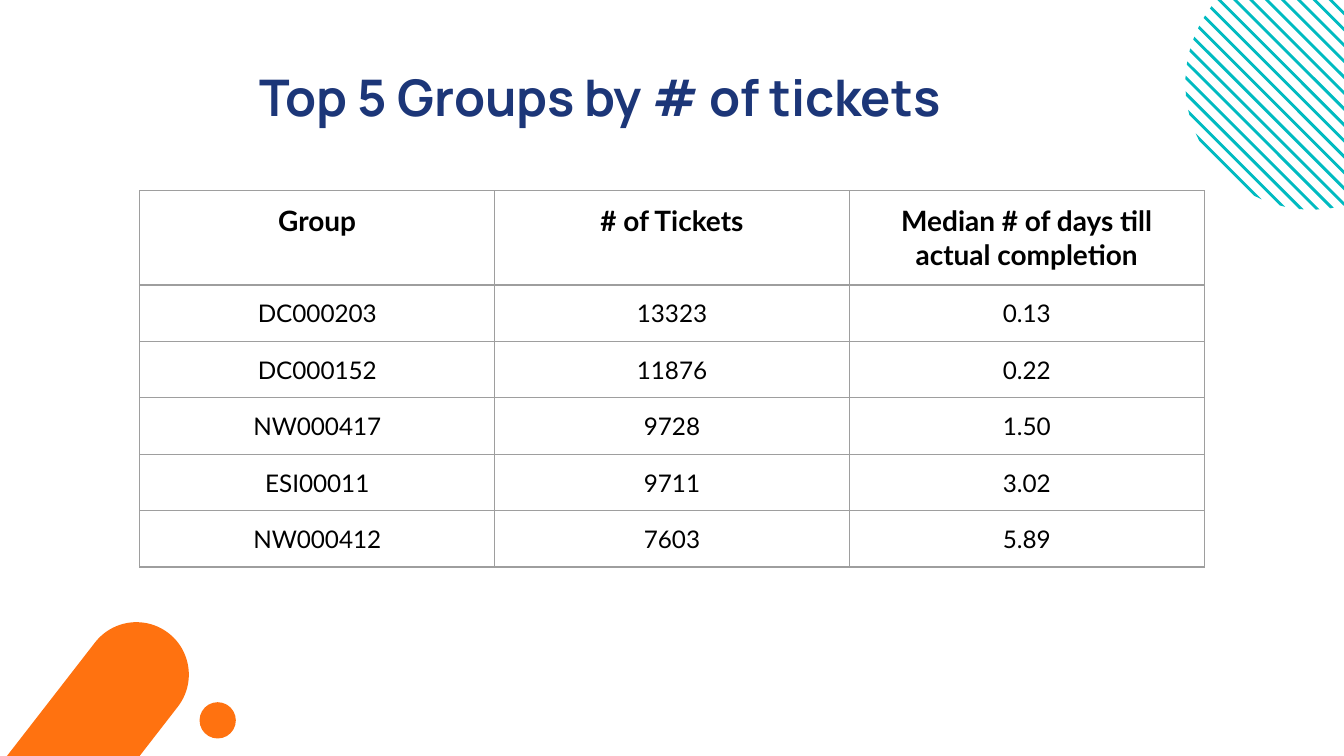
from math import sqrt

from lxml import etree
from pptx import Presentation
from pptx.dml.color import RGBColor
from pptx.enum.shapes import MSO_SHAPE
from pptx.enum.text import MSO_ANCHOR, PP_ALIGN
from pptx.oxml.ns import qn
from pptx.util import Inches, Pt

CENTER = PP_ALIGN.CENTER
TOP, BOTTOM = MSO_ANCHOR.TOP, MSO_ANCHOR.BOTTOM
OVAL, CAPSULE = MSO_SHAPE.OVAL, MSO_SHAPE.ROUNDED_RECTANGLE

# Content
TITLE = "Top 5 Groups by # of tickets"
HEADER = ("Group", "# of Tickets", "Median # of days till actual completion")
ROWS = [
    ("DC000203", "13323", "0.13"),
    ("DC000152", "11876", "0.22"),
    ("NW000417", "9728", "1.50"),
    ("ESI00011", "9711", "3.02"),
    ("NW000412", "7603", "5.89"),
]
TEAL, ORANGE, NAVY, BLACK, GRAY = "00BBC1", "FF7210", "1C3678", "000000", "9E9E9E"

# Layout, in inches
WIDTH, HEIGHT = 10, 10 * 9 / 16
TABLE_LEFT, TABLE_TOP, COL_W, HEADER_H, ROW_H = 1.04, 1.42, 2.64, 0.70, 0.42
DISC_X, DISC_Y, DISC_R = 9.76, 0.62, 0.94
# Each stripe follows y = x + c, with c running from the first to the last value
STRIPES, FIRST_C, LAST_C, STRIPE_W = 18, -9.90, -7.89, 0.03


def color(value):
    return RGBColor.from_string(value)


def paint(sp, value):
    sp.shadow.inherit = False
    sp.fill.solid()
    sp.fill.fore_color.rgb = color(value)
    sp.line.fill.background()


def add_preset(s, preset, cx, cy, w, h, value):
    sp = s.shapes.add_shape(preset, Inches(cx - w / 2), Inches(cy - h / 2),
                            Inches(w), Inches(h))
    paint(sp, value)
    return sp


def chord(c):
    """Ends of the line y = x + c inside the disc."""
    d = (c - (DISC_Y - DISC_X)) / 2
    half = sqrt(DISC_R ** 2 / 2 - d ** 2)
    return [(Inches(DISC_X - d + k), Inches(DISC_Y + d + k)) for k in (-half, half)]


def add_stripe(s, c):
    start, end = chord(c - STRIPE_W / 2)
    points = [end] + chord(c + STRIPE_W / 2)[::-1]
    builder = s.shapes.build_freeform(*start)
    builder.add_line_segments(points, close=True)
    paint(builder.convert_to_shape(), TEAL)


def add_borders(cell):
    tc_pr = cell._tc.get_or_add_tcPr()
    for side in ("a:lnL", "a:lnR", "a:lnT", "a:lnB"):
        ln = etree.SubElement(tc_pr, qn(side), w=str(Pt(0.75)))
        fill = etree.SubElement(ln, qn("a:solidFill"))
        etree.SubElement(fill, qn("a:srgbClr"), val=GRAY)


def set_font(p, name, size, value, bold):
    p.font.name, p.font.size, p.font.bold = name, Pt(size), bold
    p.font.color.rgb = color(value)


def fill_cell(cell, text, is_header, is_number):
    add_borders(cell)
    cell.fill.background()
    side = Inches(0.1 if is_header else 0.01)
    cell.margin_left = cell.margin_right = cell.margin_top = side
    cell.margin_bottom = Inches(0.1)
    cell.vertical_anchor = TOP if is_header else BOTTOM
    cell.text = text
    p = cell.text_frame.paragraphs[0]
    p.alignment = CENTER
    if is_number:
        p.line_spacing = 1.15
    set_font(p, "Lato", 15 if is_header else 13, BLACK, is_header)


def main():
    prs = Presentation()
    prs.slide_width, prs.slide_height = Inches(WIDTH), Inches(HEIGHT)
    s = prs.slides.add_slide(prs.slide_layouts[6])

    # Striped disc, top right
    step = (LAST_C - FIRST_C) / (STRIPES - 1)
    for i in range(STRIPES):
        add_stripe(s, FIRST_C + i * step)

    # Orange capsule and dot, bottom left
    capsule = add_preset(s, CAPSULE, -0.56, 7.05, 5.92, 0.78, ORANGE)
    capsule.adjustments[0] = 0.5
    capsule.rotation = 307.8
    add_preset(s, OVAL, 1.62, 5.36, 0.27, 0.27, ORANGE)

    # Title
    box = s.shapes.add_textbox(Inches(1.83), Inches(0.39), Inches(6.82), Inches(0.76))
    tf = box.text_frame
    tf.word_wrap = True
    tf.margin_left = tf.margin_right = tf.margin_top = tf.margin_bottom = Inches(0.1)
    tf.text = TITLE
    set_font(tf.paragraphs[0], "Manrope", 27, NAVY, True)

    # Table
    cols = len(HEADER)
    table = s.shapes.add_table(
        len(ROWS) + 1, cols, Inches(TABLE_LEFT), Inches(TABLE_TOP),
        Inches(cols * COL_W), Inches(HEADER_H + len(ROWS) * ROW_H)).table
    table.first_row = table.horz_banding = False
    for col in table.columns:
        col.width = Inches(COL_W)
    for i, values in enumerate([HEADER] + ROWS):
        table.rows[i].height = Inches(ROW_H if i else HEADER_H)
        for j, text in enumerate(values):
            fill_cell(table.cell(i, j), text, i == 0, i > 0 and j > 0)

    prs.save("out.pptx")


if __name__ == "__main__":
    main()
